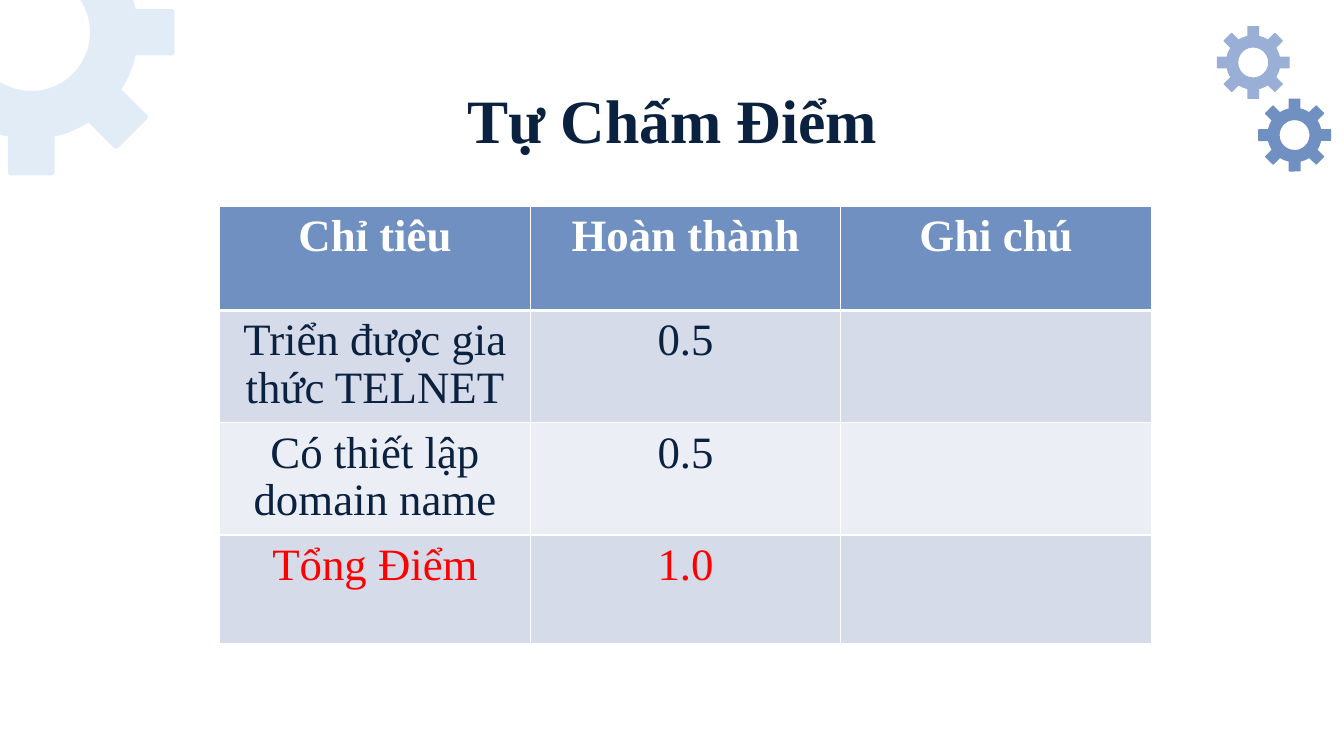
from dataclasses import dataclass
from math import cos, radians, sin

from lxml.etree import SubElement
from pptx import Presentation
from pptx.dml.color import RGBColor
from pptx.enum.shapes import MSO_SHAPE as Preset
from pptx.enum.text import MSO_ANCHOR as Anchor, PP_ALIGN as Align
from pptx.oxml.ns import qn
from pptx.util import Inches, Pt


@dataclass(frozen=True)
class Theme:
    font: str = "Times New Roman"
    title_size: int = 44
    table_size: int = 32
    navy: str = "0B2140"
    blue: str = "6F90C1"
    light_blue: str = "99AFD6"
    pale_blue: str = "E2ECF7"
    band_dark: str = "D5DBE9"
    band_light: str = "EBEEF4"
    white: str = "FFFFFF"
    red: str = "FF0000"


class SlideBuilder:
    def __init__(self, slide, theme):
        self.slide = slide
        self.theme = theme

    def format_text(self, paragraph, size, color, bold):
        paragraph.alignment = Align.CENTER
        for run in paragraph.runs:
            run.font.name = self.theme.font
            run.font.size = Pt(size)
            run.font.bold = bold
            run.font.color.rgb = RGBColor.from_string(color)

    def add_title(self, text, left, top, width, height):
        box = self.slide.shapes.add_textbox(
            Inches(left), Inches(top), Inches(width), Inches(height))
        frame = box.text_frame
        frame.word_wrap = True
        frame.vertical_anchor = Anchor.TOP
        frame.margin_top = Inches(0.16)
        frame.text = text
        self.format_text(frame.paragraphs[0], self.theme.title_size,
                         self.theme.navy, True)

    def add_gear_part(self, group, preset, center_x, center_y, width, height,
                      adjustment, color):
        shape = group.shapes.add_shape(
            preset, Inches(center_x - width / 2), Inches(center_y - height / 2),
            Inches(width), Inches(height))
        shape.adjustments[0] = adjustment
        shape.shadow.inherit = False
        shape.fill.solid()
        shape.fill.fore_color.rgb = RGBColor.from_string(color)
        shape.line.fill.background()
        return shape

    def add_gear(self, center_x, center_y, radius, color, angles):
        """A ring with one rounded tooth at each angle."""
        group = self.slide.shapes.add_group_shape()
        self.add_gear_part(group, Preset.DONUT, center_x, center_y,
                           2 * radius, 2 * radius, 0.225, color)
        for angle in angles:
            distance = 1.13 * radius
            tooth = self.add_gear_part(
                group, Preset.ROUNDED_RECTANGLE,
                center_x + distance * cos(radians(angle)),
                center_y + distance * sin(radians(angle)),
                0.42 * radius, 0.435 * radius, 0.06, color)
            tooth.rotation = angle

    def add_borders(self, cell, top, bottom):
        properties = cell._tc.get_or_add_tcPr()
        widths = {"a:lnL": 1, "a:lnR": 1, "a:lnT": top, "a:lnB": bottom}
        for position, (tag, width) in enumerate(widths.items()):
            line = SubElement(properties, qn(tag), w=str(Pt(width)))
            fill = SubElement(line, qn("a:solidFill"))
            SubElement(fill, qn("a:srgbClr"), val=self.theme.white)
            properties.insert(position, line)

    def add_table(self, rows, row_styles, left, top, column_width, row_heights):
        table = self.slide.shapes.add_table(
            len(rows), len(rows[0]), Inches(left), Inches(top),
            Inches(column_width * len(rows[0])), Inches(sum(row_heights))).table
        for column in table.columns:
            column.width = Inches(column_width)
        for row_index, (texts, style) in enumerate(zip(rows, row_styles)):
            fill, color, bold = style
            table.rows[row_index].height = Inches(row_heights[row_index])
            for column_index, text in enumerate(texts):
                cell = table.cell(row_index, column_index)
                cell.margin_top = Inches(0.07)
                cell.margin_bottom = Inches(0.02)
                cell.fill.solid()
                cell.fill.fore_color.rgb = RGBColor.from_string(fill)
                self.add_borders(cell, 3 if row_index == 1 else 1,
                                 3 if row_index == 0 else 1)
                cell.text = text
                paragraph = cell.text_frame.paragraphs[0]
                paragraph.line_spacing = 0.96
                self.format_text(paragraph, self.theme.table_size, color, bold)


def main():
    presentation = Presentation()
    presentation.slide_width = Inches(13.33)
    presentation.slide_height = Inches(7.5)
    theme = Theme()
    slide = presentation.slides.add_slide(presentation.slide_layouts[6])
    builder = SlideBuilder(slide, theme)

    # Corner gears
    builder.add_gear(0.31, 0.32, 1.06, theme.pale_blue, range(0, 91, 45))
    builder.add_gear(12.43, 0.62, 0.27, theme.light_blue, range(0, 360, 45))
    builder.add_gear(12.84, 1.34, 0.27, theme.blue, range(0, 360, 45))

    # Title
    builder.add_title("Tự Chấm Điểm", 1.04, 0.65, 11.26, 0.84)

    # Score table
    scores = [
        ("Chỉ tiêu", "Hoàn thành", "Ghi chú"),
        ("Triển được gia thức TELNET", "0.5", ""),
        ("Có thiết lập domain name", "0.5", ""),
        ("Tổng Điểm", "1.0", ""),
    ]
    row_styles = [
        (theme.blue, theme.white, True),
        (theme.band_dark, theme.navy, False),
        (theme.band_light, theme.navy, False),
        (theme.band_dark, theme.red, False),
    ]
    builder.add_table(scores, row_styles, 2.18, 2.05, 3.08,
                      [1.03, 1.09, 1.09, 1.08])

    presentation.save("out.pptx")


if __name__ == "__main__":
    main()
